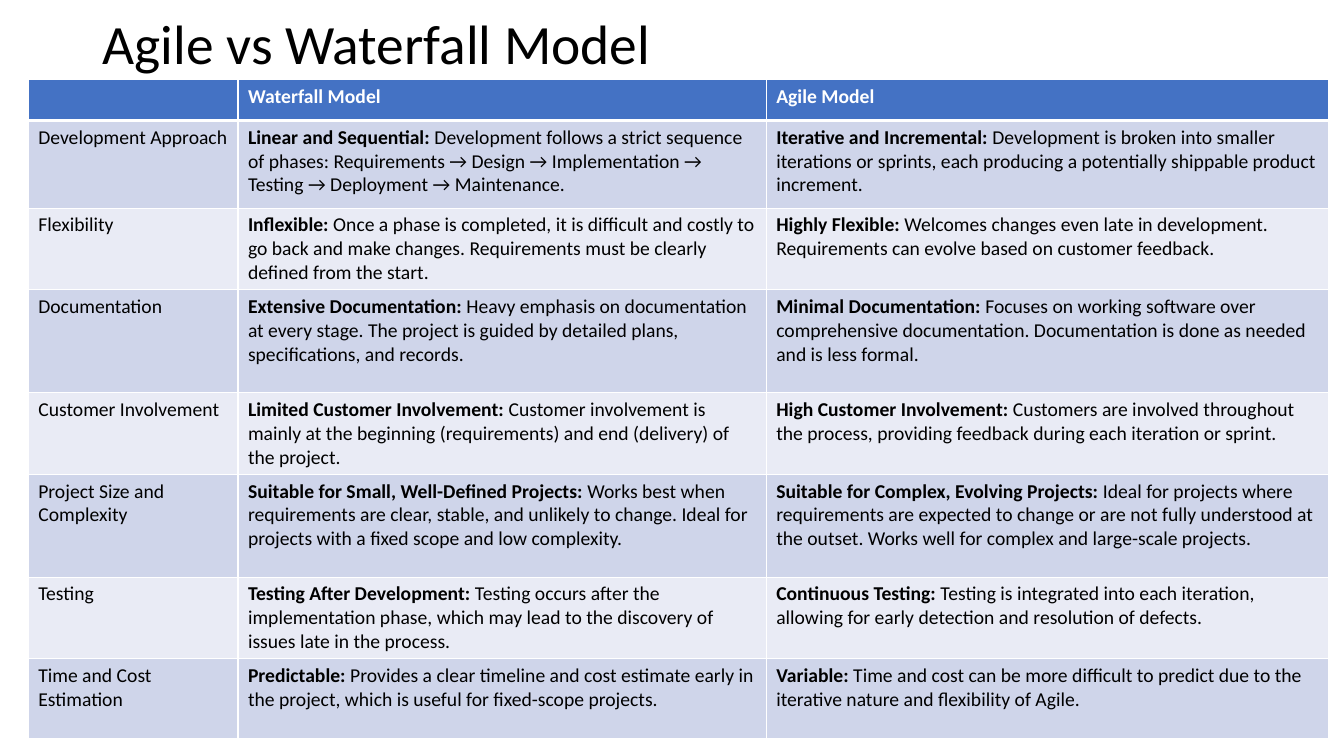
from lxml.etree import SubElement
from pptx import Presentation
from pptx.dml.color import RGBColor
from pptx.enum.text import MSO_ANCHOR, MSO_AUTO_SIZE, PP_ALIGN
from pptx.oxml.ns import qn
from pptx.util import Inches, Pt

TITLE = "Agile vs Waterfall Model"
HEADER = ("", "Waterfall Model", "Agile Model")
ROWS = [
    ("Development Approach",
     "Linear and Sequential: Development follows a strict sequence of phases: Requirements → Design → "
     "Implementation → Testing → Deployment → Maintenance.",
     "Iterative and Incremental: Development is broken into smaller iterations or sprints, each producing "
     "a potentially shippable product increment."),
    ("Flexibility",
     "Inflexible: Once a phase is completed, it is difficult and costly to go back and make changes. "
     "Requirements must be clearly defined from the start.",
     "Highly Flexible: Welcomes changes even late in development. Requirements can evolve based on "
     "customer feedback."),
    ("Documentation",
     "Extensive Documentation: Heavy emphasis on documentation at every stage. The project is guided by "
     "detailed plans, specifications, and records.",
     "Minimal Documentation: Focuses on working software over comprehensive documentation. Documentation "
     "is done as needed and is less formal."),
    ("Customer Involvement",
     "Limited Customer Involvement: Customer involvement is mainly at the beginning (requirements) and "
     "end (delivery) of the project.",
     "High Customer Involvement: Customers are involved throughout the process, providing feedback "
     "during each iteration or sprint."),
    ("Project Size and Complexity",
     "Suitable for Small, Well-Defined Projects: Works best when requirements are clear, stable, and "
     "unlikely to change. Ideal for projects with a fixed scope and low complexity.",
     "Suitable for Complex, Evolving Projects: Ideal for projects where requirements are expected to "
     "change or are not fully understood at the outset. Works well for complex and large-scale projects."),
    ("Testing",
     "Testing After Development: Testing occurs after the implementation phase, which may lead to the "
     "discovery of issues late in the process.",
     "Continuous Testing: Testing is integrated into each iteration, allowing for early detection and "
     "resolution of defects."),
    ("Time and Cost Estimation",
     "Predictable: Provides a clear timeline and cost estimate early in the project, which is useful for "
     "fixed-scope projects.",
     "Variable: Time and cost can be more difficult to predict due to the iterative nature and "
     "flexibility of Agile."),
]
COL_WIDTHS = (2.08, 5.24, 5.58)
ROW_HEIGHTS = (0.4, 0.87, 0.79, 1.02, 0.79, 1.02, 0.79, 0.79)

FONT = "Calibri"
BLACK = RGBColor(0x00, 0x00, 0x00)
WHITE = RGBColor(0xFF, 0xFF, 0xFF)
BLUE = RGBColor(0x44, 0x72, 0xC4)
BANDS = (RGBColor(0xE9, 0xEB, 0xF5), RGBColor(0xCF, 0xD5, 0xEA))


def style_run(r, size, color, bold=False):
    """Set the font of one run."""
    r.font.name = FONT
    r.font.size = Pt(size)
    r.font.bold = bold
    r.font.color.rgb = color


def add_borders(cell, bottom):
    """Give a cell white borders, with its own bottom width in points."""
    tc_pr = cell._tc.get_or_add_tcPr()
    for tag, width in (("lnL", 1), ("lnR", 1), ("lnT", 1), ("lnB", bottom)):
        ln = SubElement(tc_pr, qn(f"a:{tag}"), w=str(Pt(width)))
        fill = SubElement(ln, qn("a:solidFill"))
        SubElement(fill, qn("a:srgbClr"), val=str(WHITE))


def fill_cell(cell, text, row):
    """Write a header, topic or comparison cell."""
    header = row == 0
    add_borders(cell, 3 if header else 1)
    cell.fill.solid()
    cell.fill.fore_color.rgb = BLUE if header else BANDS[row % 2]
    p = cell.text_frame.paragraphs[0]
    label, colon, detail = text.partition(":")
    for part, bold in ((label + colon, header or bool(colon)), (detail, False)):
        if part:
            r = p.add_run()
            r.text = part
            style_run(r, 14, WHITE if header else BLACK, bold)


def add_title(s):
    """Place and format the slide title."""
    title = s.shapes.title
    title.left, title.top = Inches(0.92), Inches(0.2)
    title.width, title.height = Inches(11.5), Inches(0.52)
    tf = title.text_frame
    tf.text = TITLE
    tf.word_wrap = True
    tf.auto_size = MSO_AUTO_SIZE.NONE
    tf.vertical_anchor = MSO_ANCHOR.MIDDLE
    p = tf.paragraphs[0]
    p.alignment = PP_ALIGN.LEFT
    p.line_spacing = 0.9
    style_run(p.runs[0], 39.6, BLACK)


def add_comparison(s):
    """Build the comparison table."""
    rows = [HEADER] + ROWS
    table = s.shapes.add_table(
        len(rows), len(HEADER), Inches(0.28), Inches(0.79),
        Inches(sum(COL_WIDTHS)), Inches(sum(ROW_HEIGHTS))).table
    for column, width in zip(table.columns, COL_WIDTHS):
        column.width = Inches(width)
    for i, (texts, height) in enumerate(zip(rows, ROW_HEIGHTS)):
        table.rows[i].height = Inches(height)
        for j, text in enumerate(texts):
            fill_cell(table.cell(i, j), text, i)


def main():
    """Create and save the slide."""
    prs = Presentation()
    prs.slide_width, prs.slide_height = Inches(13.33), Inches(7.5)
    s = prs.slides.add_slide(prs.slide_layouts[5])
    add_title(s)
    add_comparison(s)
    prs.save("out.pptx")


if __name__ == "__main__":
    main()
